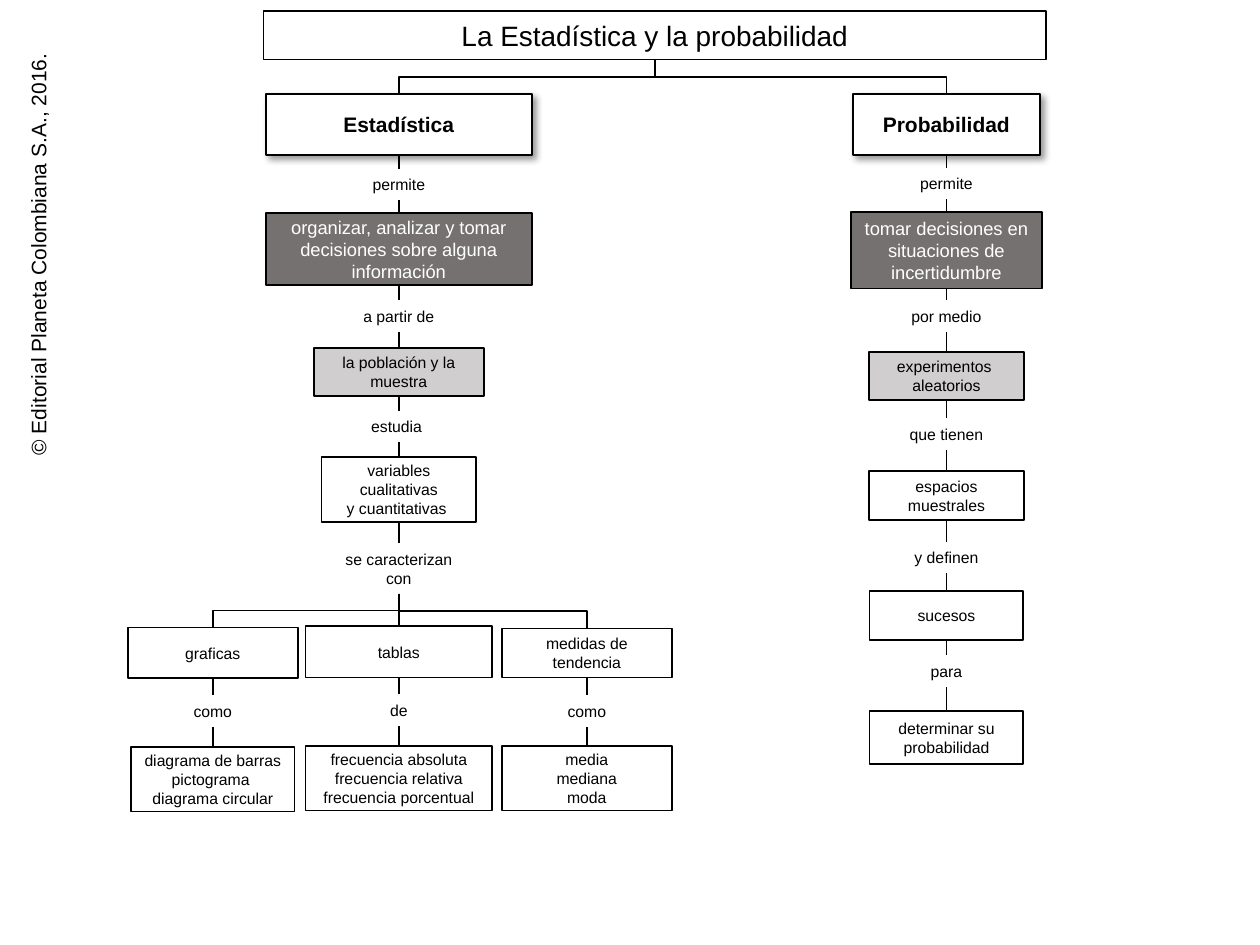
from dataclasses import dataclass
from itertools import pairwise

from lxml import etree
from pptx import Presentation
from pptx.dml.color import RGBColor
from pptx.enum.shapes import MSO_CONNECTOR as Conn, MSO_SHAPE as Shape
from pptx.enum.text import MSO_ANCHOR as Anchor, MSO_AUTO_SIZE as AutoSize, PP_ALIGN as Align
from pptx.oxml.ns import qn
from pptx.util import Cm, Pt

BLACK, WHITE, DARK, LIGHT = "000000", "FFFFFF", "767171", "D0CECE"
LEFT_AXIS, RIGHT_AXIS = 8.04, 19.08
TOP, BOTTOM = 0, 2  # connection sites


@dataclass
class Box:
    """A framed concept, centred on its column's axis; lengths in cm."""
    text: str
    top: float
    width: float
    height: float
    fill: str = WHITE
    color: str = BLACK
    size: float = 9
    head: bool = False


@dataclass
class Link:
    """Unframed linking words between two concepts."""
    text: str
    top: float
    width: float = 3.12
    height: float = 0.64


def rgb(color: str) -> RGBColor:
    return RGBColor.from_string(color)


def style_text(tf, text: str, size: float, color: str = BLACK, bold: bool = False) -> None:
    tf.text = text
    for p in tf.paragraphs:
        p.alignment = Align.CENTER
        for r in p.runs:
            r.font.name = "Arial"
            r.font.size = Pt(size)
            r.font.bold = bold
            r.font.color.rgb = rgb(color)


def add_shadow(sp) -> None:
    effects = sp._element.spPr.find(qn("a:effectLst"))
    shadow = etree.SubElement(effects, qn("a:outerShdw"), blurRad=str(Pt(4)),
                              dist=str(Pt(3)), dir="2700000", algn="tl", rotWithShape="0")
    tint = etree.SubElement(shadow, qn("a:srgbClr"), val=BLACK)
    etree.SubElement(tint, qn("a:alpha"), val="40000")


def draw_node(s, node: Box | Link, axis: float):
    place = (Cm(axis) - Cm(node.width) // 2, Cm(node.top), Cm(node.width), Cm(node.height))
    if isinstance(node, Link):
        sp = s.shapes.add_textbox(*place)
        sp.text_frame.word_wrap = True
        style_text(sp.text_frame, node.text, 9)
        return sp
    sp = s.shapes.add_shape(Shape.RECTANGLE, *place)
    sp.shadow.inherit = False
    sp.fill.solid()
    sp.fill.fore_color.rgb = rgb(node.fill)
    sp.line.color.rgb = rgb(BLACK)
    sp.line.width = Pt(1)
    sp.text_frame.word_wrap = True
    sp.text_frame.vertical_anchor = Anchor.MIDDLE
    style_text(sp.text_frame, node.text, node.size, node.color, node.head)
    if node.head:
        add_shadow(sp)
    return sp


def connect(s, upper, lower, kind=Conn.STRAIGHT):
    c = s.shapes.add_connector(kind, 0, 0, 0, 0)
    c.begin_connect(upper, BOTTOM)
    c.end_connect(lower, TOP)
    c.line.color.rgb = rgb(BLACK)
    c.line.width = Pt(1)
    etree.SubElement(c._element.spPr, qn("a:effectLst"))
    return c


def branch(s, upper, lower) -> None:
    """Join with an elbow that leaves downwards: the preset turned a quarter."""
    c = connect(s, upper, lower, Conn.ELBOW)
    x1, y1, x2, y2 = c.begin_x, c.begin_y, c.end_x, c.end_y
    to_right = x2 > x1
    c.width, c.height = y2 - y1, abs(x2 - x1)
    c.left, c.top = (x1 + x2 - c.width) // 2, (y1 + y2 - c.height) // 2
    xfrm = c._element.spPr.xfrm
    xfrm.flipH, xfrm.flipV = to_right, False
    xfrm.rot = 270.0 if to_right else 90.0


def draw_chain(s, axis: float, nodes: list[Box | Link]) -> list:
    """Draw a column of nodes, each joined to the next."""
    shapes = [draw_node(s, node, axis) for node in nodes]
    for upper, lower in pairwise(shapes):
        connect(s, upper, lower)
    return shapes


STATISTICS = [
    Box("Estadística", 1.9, 5.36, 1.22, size=12, head=True),
    Link("permite", 3.4),
    Box("organizar, analizar y tomar decisiones sobre alguna información",
        4.29, 5.36, 1.46, DARK, WHITE, 10.5),
    Link("a partir de", 6.05),
    Box("la población y la muestra", 7.01, 3.43, 0.97, LIGHT),
    Link("estudia ", 8.28, 1.93),
    Box("variables cualitativas\ny cuantitativas ", 9.22, 3.12, 1.3),
    Link("se caracterizan con", 10.95, 2.77, 1.02),
]
PROBABILITY = [
    Box("Probabilidad", 1.9, 3.78, 1.22, size=12, head=True),
    Link("permite", 3.38),
    Box("tomar decisiones en situaciones de incertidumbre",
        4.27, 3.86, 1.55, DARK, WHITE, 10.5),
    Link("por medio", 6.05),
    Box("experimentos \naleatorios", 7.09, 3.12, 0.97, LIGHT),
    Link("que tienen", 8.43),
    Box("espacios muestrales", 9.5, 3.12, 0.98),
    Link("y definen", 10.92),
    Box("sucesos", 11.91, 3.1, 0.99),
    Link("para", 13.21),
    Box("determinar su probabilidad", 14.33, 3.1, 1.07),
]
SUMMARIES = {
    4.29: [Box("graficas", 12.65, 3.43, 1.02), Link("como", 14.02, 2.57),
           Box("diagrama de barras\npictograma \ndiagrama circular", 15.06, 3.3, 1.3)],
    LEFT_AXIS: [Box("tablas", 12.62, 3.76, 1.04), Link("de", 14, 2.46),
                Box("frecuencia absoluta\nfrecuencia relativa\nfrecuencia porcentual",
                    15.04, 3.76, 1.3)],
    11.83: [Box("medidas de tendencia", 12.67, 3.43, 0.99), Link("como", 14.02, 2.34),
            Box("media\nmediana\nmoda", 15.04, 3.43, 1.3)],
}


def main() -> None:
    prs = Presentation()
    prs.slide_width, prs.slide_height = Cm(25.4), Cm(19.05)
    s = prs.slides.add_slide(prs.slide_layouts[6])

    rights = s.shapes.add_textbox(Cm(-3.56), Cm(4.75), Cm(8.66), Cm(0.76))
    rights.rotation = 270
    rights.text_frame.word_wrap = False
    rights.text_frame.auto_size = AutoSize.SHAPE_TO_FIT_TEXT
    style_text(rights.text_frame, "© Editorial Planeta Colombiana S.A., 2016.", 12)

    title = draw_node(s, Box("La Estadística y la probabilidad", 0.22, 15.77, 0.98, size=16), 13.2)
    statistics = draw_chain(s, LEFT_AXIS, STATISTICS)
    probability = draw_chain(s, RIGHT_AXIS, PROBABILITY)
    for column in (statistics, probability):
        branch(s, title, column[0])

    for axis, nodes in SUMMARIES.items():
        join = connect if axis == LEFT_AXIS else branch
        join(s, statistics[-1], draw_chain(s, axis, nodes)[0])

    prs.save("out.pptx")


if __name__ == "__main__":
    main()
